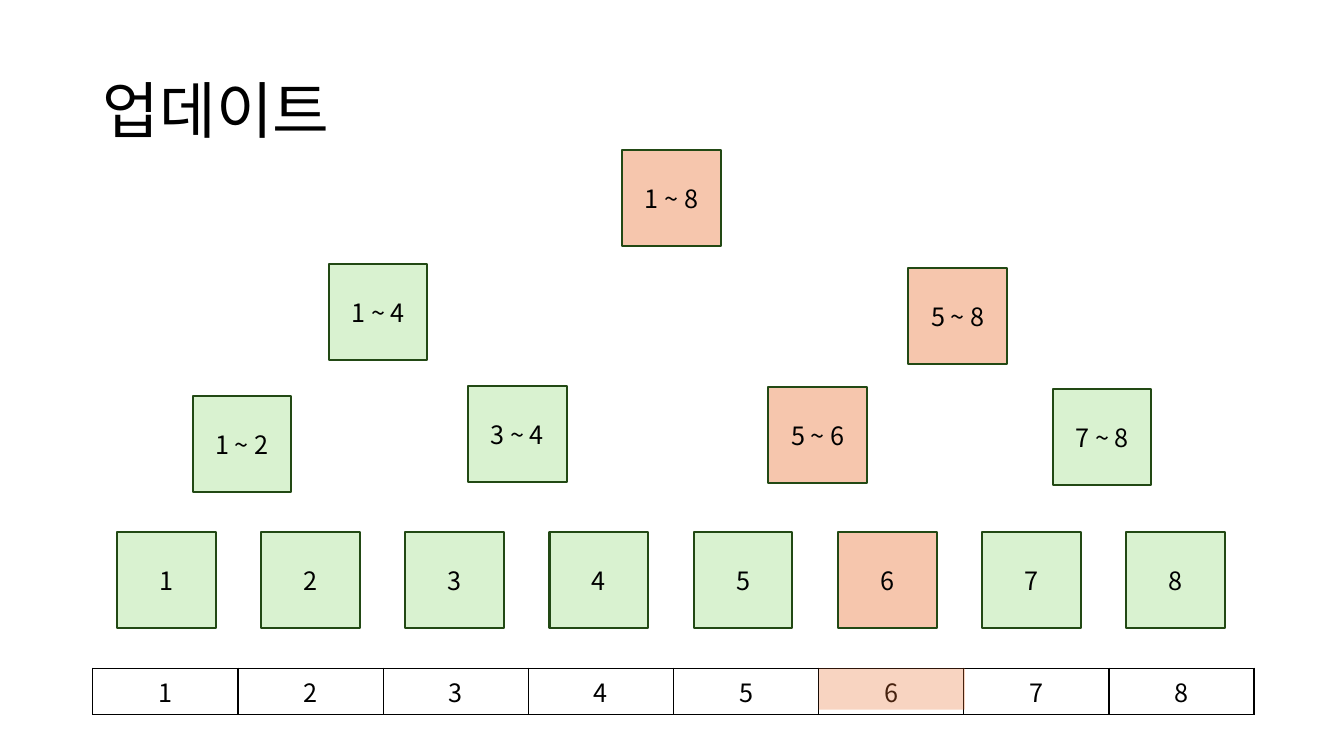
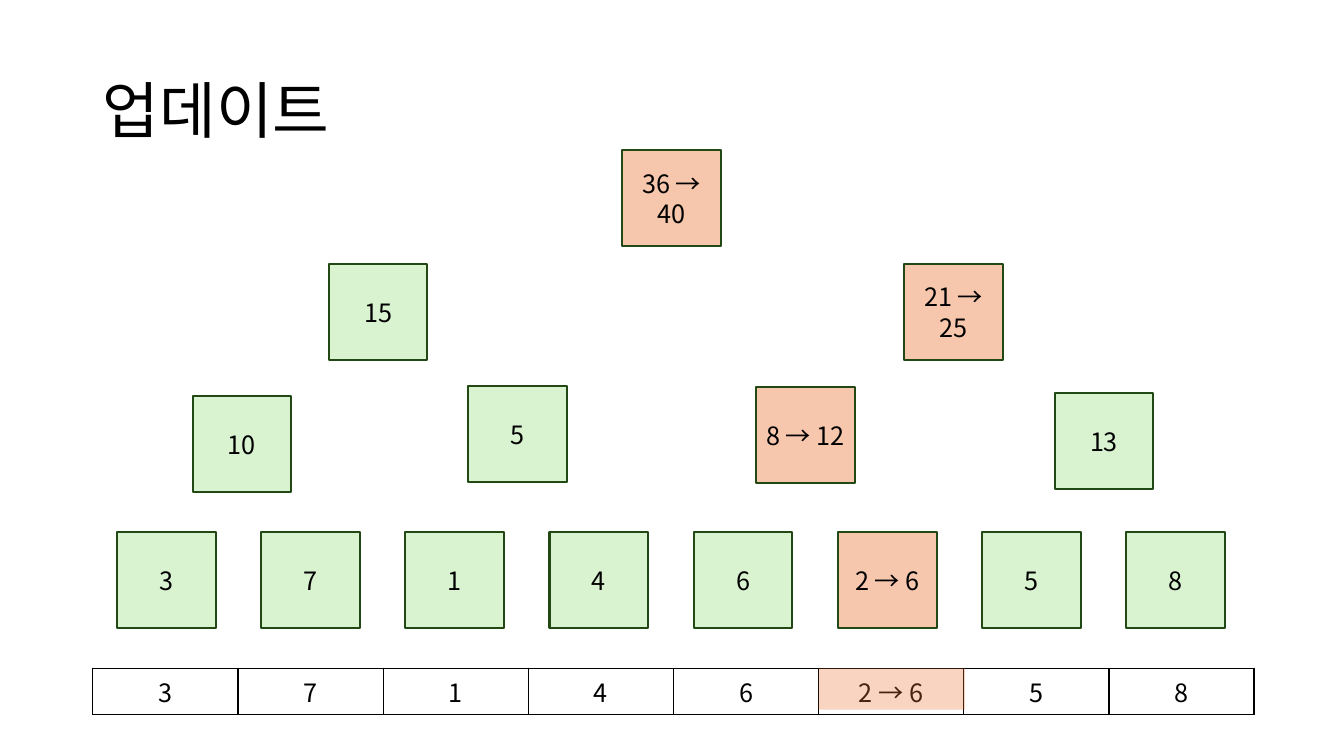
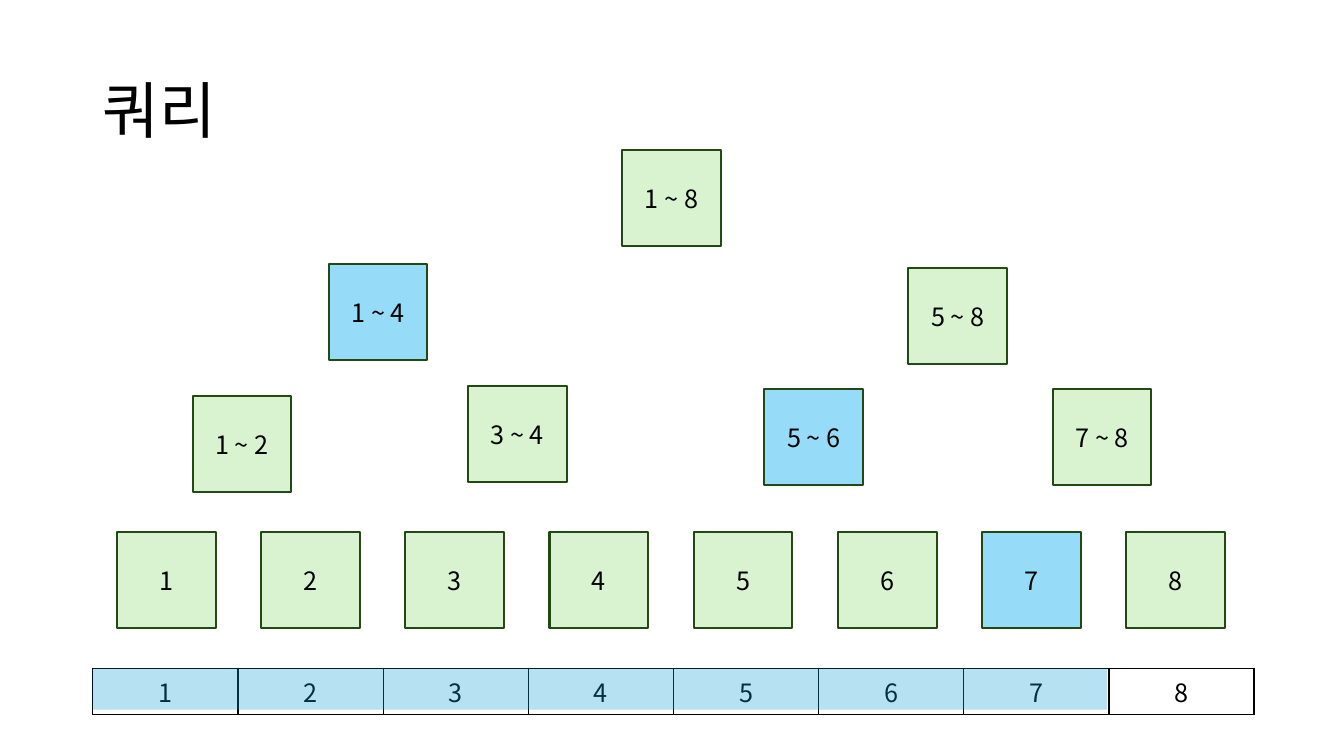
from lxml.etree import SubElement
from pptx import Presentation
from pptx.dml.color import RGBColor
from pptx.enum.shapes import MSO_SHAPE
from pptx.enum.text import MSO_ANCHOR, MSO_AUTO_SIZE, PP_ALIGN
from pptx.oxml import parse_xml
from pptx.oxml.ns import nsdecls, qn
from pptx.util import Inches, Pt

THEME = {
    "font": "Noto Sans CJK KR",
    "title": Pt(44),
    "label": Pt(18),
    "edge": Pt(1.5),
    "ink": RGBColor.from_string("000000"),
    "paper": RGBColor.from_string("FFFFFF"),
    "green": RGBColor.from_string("D9F2D0"),
    "border": RGBColor.from_string("224914"),
    "peach": RGBColor.from_string("F6C6AD"),
    "sky": RGBColor.from_string("96DCF8"),
    "orange": RGBColor.from_string("E97132"),
    "blue": RGBColor.from_string("0F9ED5"),
}
TITLE = {"left": Inches(0.92), "top": Inches(0.4), "width": Inches(11.5), "height": Inches(1.45)}
FRAME = {"vertical_anchor": MSO_ANCHOR.MIDDLE, "word_wrap": True, "auto_size": MSO_AUTO_SIZE.NONE}
INSET = {"margin_left": Inches(0.09), "margin_right": Inches(0.09)}
LEFT, TOP, STEP, HIGH = 0.92, 6.63, 1.44, 0.41
WIDE, TALL = 0.98, 0.95

SPOTS = [(1.16 + 1.43 * i, 5.28) for i in range(8)] + [
    (1.91, 3.93), (4.64, 3.83), (7.62, 3.84), (10.44, 3.86),
    (3.26, 2.62), (9.01, 2.66),
    (6.17, 1.49),
]
RANGES = [str(n) for n in range(1, 9)] + [
    "1 ~ 2", "3 ~ 4", "5 ~ 6", "7 ~ 8", "1 ~ 4", "5 ~ 8", "1 ~ 8"]
SUMS = ["3", "7", "1", "4", "6", "2 → 6", "5", "8",
        "10", "5", "8 → 12", "13", "15", "21 → 25", "36 → 40"]

PAGES = [
    {"title": "업데이트", "labels": RANGES, "lit": {5, 10, 13, 14}, "fill": "peach",
     "moved": {}, "band": (8.12, 1.45, "orange")},
    {"title": "업데이트", "labels": SUMS, "lit": {5, 10, 13, 14}, "fill": "peach",
     "moved": {10: (7.5, 3.84), 11: (10.46, 3.9), 13: (8.97, 2.62)},
     "band": (8.12, 1.45, "orange")},
    {"title": "쿼리", "labels": RANGES, "lit": {6, 10, 12}, "fill": "sky",
     "moved": {10: (7.58, 3.86)}, "band": (LEFT, 10.06, "blue")},
]


def write(frame, text, size, align):
    para = frame.paragraphs[0]
    para.alignment = align
    run = para.add_run()
    run.text = text
    for key, value in {"name": THEME["font"], "size": size}.items():
        setattr(run.font, key, value)
    run.font.color.rgb = THEME["ink"]
    SubElement(run._r.get_or_add_rPr(), qn("a:ea"), typeface=THEME["font"])
    return para


def box(slide, x, y, wide, tall, color):
    shape = slide.shapes.add_shape(
        MSO_SHAPE.RECTANGLE, Inches(x), Inches(y), Inches(wide), Inches(tall))
    shape.shadow.inherit = False
    shape.fill.solid()
    shape.fill.fore_color.rgb = color
    return shape


deck = Presentation()
deck.slide_width, deck.slide_height = Inches(13.33), Inches(7.5)
layout = deck.slide_layouts[5]
head = layout.placeholders[0]
for key, value in TITLE.items():
    setattr(head, key, value)
for key, value in FRAME.items():
    setattr(head.text_frame, key, value)

for page in PAGES:
    slide = deck.slides.add_slide(layout)
    title = write(slide.shapes.title.text_frame, page["title"], THEME["title"], PP_ALIGN.LEFT)
    title.line_spacing = 0.9

    table = slide.shapes.add_table(
        1, 8, Inches(LEFT), Inches(TOP), Inches(STEP * 8), Inches(HIGH)).table
    for cell, label in zip(table.rows[0].cells, page["labels"]):
        props = cell._tc.get_or_add_tcPr()
        for side in ("lnL", "lnR", "lnT", "lnB"):
            props.append(parse_xml(
                f'<a:{side} {nsdecls("a")} w="{Pt(1)}"><a:solidFill>'
                f'<a:srgbClr val="{THEME["ink"]}"/></a:solidFill></a:{side}>'))
        cell.fill.solid()
        cell.fill.fore_color.rgb = THEME["paper"]
        cell.vertical_anchor = MSO_ANCHOR.MIDDLE
        write(cell.text_frame, label, THEME["label"], PP_ALIGN.CENTER)

    for i, (spot, label) in enumerate(zip(SPOTS, page["labels"])):
        x, y = page["moved"].get(i, spot)
        color = page["fill"] if i in page["lit"] else "green"
        node = box(slide, x, y, WIDE, TALL, THEME[color])
        node.line.color.rgb = THEME["border"]
        node.line.width = THEME["edge"]
        for key, value in {**FRAME, **INSET}.items():
            setattr(node.text_frame, key, value)
        write(node.text_frame, label, THEME["label"], PP_ALIGN.CENTER)

    x, wide, color = page["band"]
    band = box(slide, x, TOP, wide, HIGH, THEME[color])
    band.line.fill.background()
    tint = band.fill._xPr.find(qn("a:solidFill")).find(qn("a:srgbClr"))
    SubElement(tint, qn("a:alpha"), val="30000")

deck.save("out.pptx")
